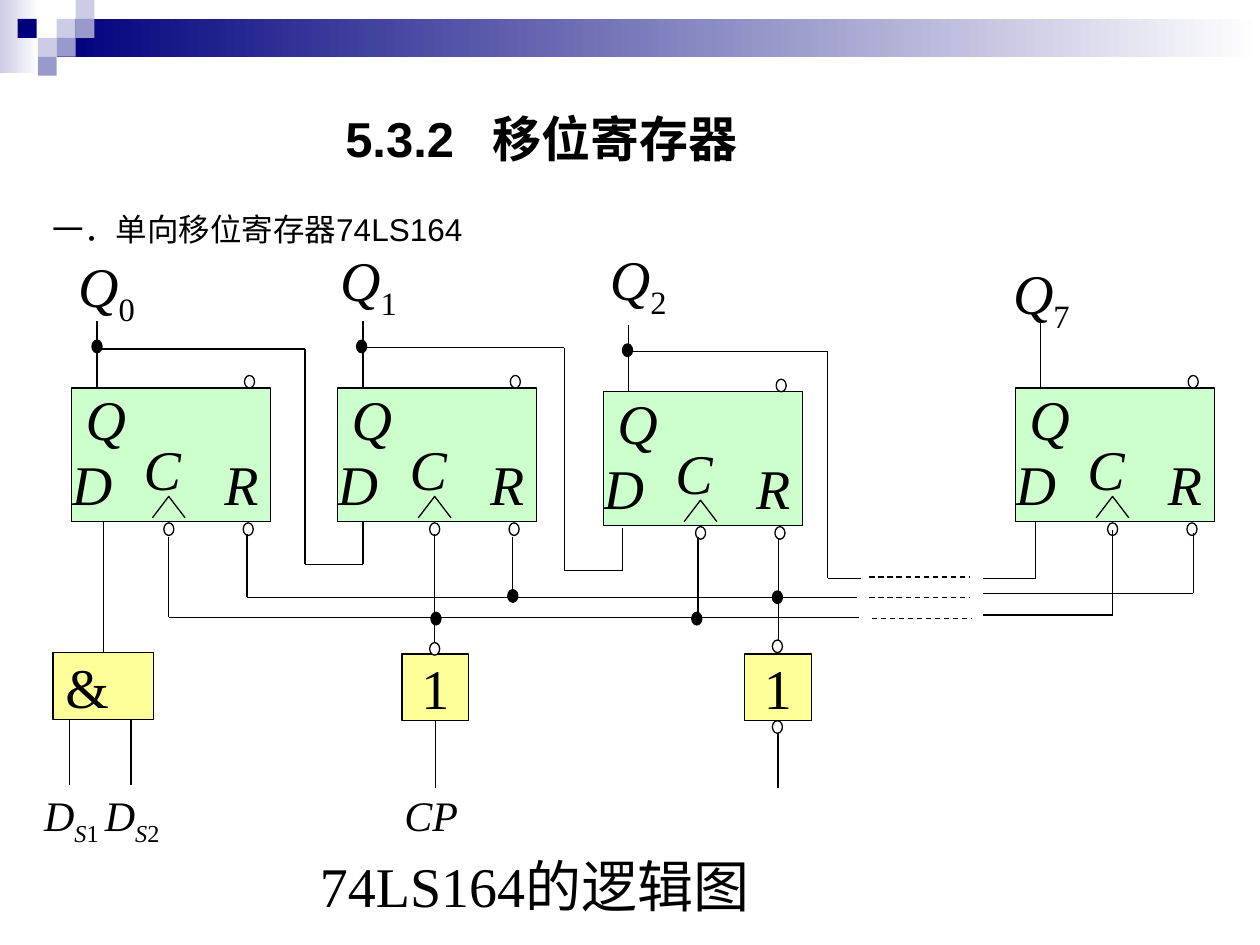
import dataclasses
import lxml.etree
import pptx
import pptx.dml.color
import pptx.enum.dml
import pptx.enum.shapes
import pptx.enum.text
import pptx.oxml.ns
import pptx.util

SHAPE = pptx.enum.shapes.MSO_SHAPE
ALIGN = pptx.enum.text.PP_ALIGN
ANCHOR = pptx.enum.text.MSO_ANCHOR
RGB = pptx.dml.color.RGBColor.from_string
LINK = pptx.enum.shapes.MSO_CONNECTOR.STRAIGHT


@dataclasses.dataclass(frozen=True)
class Theme:
    ink: str = "000000"
    white: str = "FFFFFF"
    navy: str = "00007D"
    mid: str = "9999CC"
    pale: str = "CCCCE6"
    green: str = "CCFFCC"
    yellow: str = "FFFF99"
    sans: str = "Arial"
    serif: str = "Times New Roman"
    head: int = 28
    sub: int = 18
    big: int = 32
    small: int = 24
    stroke: float = 0.75


def cm(units):
    """Turn grid units of 2.54 cm into a length."""
    return pptx.util.Cm(units * 2.54)


def tab(par, stop):
    props = par._p.get_or_add_pPr()
    tabs = lxml.etree.SubElement(props, pptx.oxml.ns.qn("a:tabLst"))
    lxml.etree.SubElement(tabs, pptx.oxml.ns.qn("a:tab"), pos=str(cm(stop)), algn="l")


class Board:
    """Holds the theme and the slide being drawn."""

    def __init__(self, slide, theme):
        self.slide, self.theme = slide, theme
        self.shapes = slide.shapes

    def label(self, frame, runs, form, pad=(0, 0, 0, 0), align=ALIGN.LEFT,
              anchor=ANCHOR.TOP, wrap=True, stop=None):
        """Fill a frame with (text, changes) runs; the change "low" makes a subscript."""
        sides = ("margin_left", "margin_top", "margin_right", "margin_bottom")
        looks = {"word_wrap": wrap, "vertical_anchor": anchor,
                 "auto_size": pptx.enum.text.MSO_AUTO_SIZE.NONE}
        looks.update(zip(sides, map(cm, pad)))
        for key, value in looks.items():
            setattr(frame, key, value)
        par = frame.paragraphs[0]
        par.alignment = align
        if stop:
            tab(par, stop)
        for word, change in runs:
            run = par.add_run()
            run.text = word
            look = {**form, **change}
            if look.pop("low", False):
                run._r.get_or_add_rPr().set("baseline", "-25000")
            for key, value in look.items():
                setattr(run.font, key, value)
            run.font.color.rgb = RGB(self.theme.ink)

    def form(self, size, face=None, **more):
        return {"size": pptx.util.Pt(size), "name": face or self.theme.serif, **more}

    def title(self, box, runs, form, **more):
        shape = self.shapes.title
        for key, value in zip(("left", "top", "width", "height"), box):
            setattr(shape, key, cm(value))
        self.label(shape.text_frame, runs, form, **more)

    def text(self, box, runs, form, **more):
        shape = self.shapes.add_textbox(*map(cm, box))
        self.label(shape.text_frame, runs, form, **more)

    def edge(self, line):
        line.color.rgb = RGB(self.theme.ink)
        line.width = pptx.util.Pt(self.theme.stroke)

    def shape(self, box, fill, kind=SHAPE.RECTANGLE, edge=True):
        shape = self.shapes.add_shape(kind, *map(cm, box))
        shape.shadow.inherit = False
        shape.fill.solid()
        shape.fill.fore_color.rgb = RGB(fill)
        if edge:
            self.edge(shape.line)
        else:
            shape.line.fill.background()
        return shape

    def fade(self, box, start):
        shape = self.shape(box, start, edge=False)
        shape.fill.gradient()
        shape.fill.gradient_angle = 0
        for stop, color, place in zip(shape.fill.gradient_stops, (start, self.theme.white), (0, 1)):
            stop.color.rgb = RGB(color)
            stop.position = place

    def node(self, left, top, fill=None):
        self.shape((left, top, 0.08, 0.1), fill or self.theme.white, SHAPE.OVAL)

    def wire(self, *points, dash=False):
        """Draw a chain of straight connectors and return the last one."""
        for start, end in zip(points, points[1:]):
            line = self.shapes.add_connector(LINK, *map(cm, start + end))
            self.edge(line.line)
            if dash:
                line.line.dash_style = pptx.enum.dml.MSO_LINE.DASH
            lxml.etree.SubElement(line._element.spPr, pptx.oxml.ns.qn("a:effectLst"))
        return line

    def wedge(self, left, top):
        pen = self.shapes.build_freeform(cm(left), cm(top + 0.17))
        pen.add_line_segments([(cm(left + 0.13), cm(top)), (cm(left + 0.26), cm(top + 0.17))], close=False)
        shape = pen.convert_to_shape()
        shape.shadow.inherit = False
        shape.fill.background()
        self.edge(shape.line)

    def flop(self, left, top):
        form = self.form(self.theme.big, italic=True)
        body = self.shape((left, top, 1.58, 1.06), self.theme.green)
        self.label(body.text_frame, [("D\tR", {})], form, pad=(0, 0, 0, 0.04), anchor=ANCHOR.BOTTOM, stop=1.21)
        self.wedge(left + 0.64, top + 0.86)
        self.text((left + 0.57, top + 0.37, 0.45, 0.43), [("C", {})], form)
        self.text((left + 0.11, top - 0.03, 0.28, 0.55), [("Q", {})], form)
        self.wire((left + 0.2, top - 0.53), (left + 0.2, top))
        for across, down in ((1.37, -0.1), (0.73, 1.07), (1.36, 1.07)):
            self.node(left + across, top + down)

    def gate(self, box, sign, **more):
        body = self.shape(box, self.theme.yellow)
        self.label(body.text_frame, [(sign, {})], self.form(self.theme.big), **more)
        return body


def frame(board):
    theme = board.theme
    board.fade((0, 0, 0.31, 0.58), theme.pale)
    board.fade((0.45, 0.15, 9.55, 0.3), theme.navy)
    tiles = {theme.pale: [(0.45, 0.15), (0.6, 0), (0.3, 0.3)],
             theme.mid: [(0.6, 0.15), (0.45, 0.3), (0.3, 0.45)],
             theme.navy: [(0.14, 0.15)]}
    for color, spots in tiles.items():
        for spot in spots:
            board.shape(spot + (0.15, 0.15), color, edge=False)


def labels(board):
    theme = board.theme
    board.title((2.64, 0.68, 3.94, 0.83), [("5.3.2\t移位寄存器", {})],
                board.form(theme.head, theme.sans, bold=True),
                pad=(0.1, 0.18, 0.1, 0.18), anchor=ANCHOR.MIDDLE, stop=1.17)
    board.text((0.32, 1.62, 3.51, 0.4), [("一．单向移位寄存器74LS164", {})],
               board.form(theme.sub, theme.sans), pad=(0.1, 0.05, 0.1, 0.05), anchor=ANCHOR.MIDDLE)
    large = board.form(theme.big, italic=True)
    small = board.form(theme.small, italic=True)
    low, plain = {"low": True}, {"low": True, "italic": False}
    for digit, left, top in (("0", 0.62, 2), ("1", 2.7, 1.95), ("2", 4.84, 1.94), ("7", 8.04, 2.05)):
        board.text((left, top, 0.53, 0.53), [("Q", {}), (digit, plain)], large)
    board.text((0.35, 6.27, 1.32, 0.53), [("D", {}), ("S", low), ("1 ", plain),
                                          ("D", {}), ("S", low), ("2", plain)], small)
    board.text((3.21, 6.27, 0.53, 0.53), [("CP", {})], small)
    board.text((2.45, 6.71, 3.59, 0.79), [("74LS164的逻辑图", {})], board.form(theme.big),
               pad=(0.1, 0.05, 0.1, 0.05), align=ALIGN.CENTER, wrap=False)


def wires(board):
    chains = [
        [(0.8, 2.77), (2.42, 2.77), (2.42, 4.48), (2.88, 4.48), (2.88, 4.14)],
        [(2.86, 2.76), (4.48, 2.76), (4.48, 4.53), (4.94, 4.53), (4.94, 4.19)],
        [(4.99, 2.79), (6.57, 2.79), (6.57, 4.59), (6.83, 4.59)],
        [(7.8, 4.59), (8.22, 4.59), (8.22, 4.14)],
        [(1.96, 4.24), (1.96, 4.74), (6.8, 4.74)],
        [(1.34, 4.26), (1.34, 4.9), (6.82, 4.9)],
        [(7.8, 4.71), (9.47, 4.71), (9.47, 4.23)],
        [(7.8, 4.88), (8.83, 4.88), (8.83, 4.21)],
        [(4.07, 4.26), (4.07, 4.69)],
        [(5.54, 4.26), (5.54, 4.93)],
        [(3.45, 4.24), (3.45, 5.13)],
        [(6.18, 4.27), (6.18, 5.16)],
        [(0.55, 5.71), (0.55, 6.23)],
        [(1.04, 5.71), (1.04, 6.23)],
    ]
    for chain in chains:
        board.wire(*chain)
    for left, top in ((6.9, 4.58), (6.9, 4.74), (6.92, 4.91)):
        board.wire((left, top), (left + 0.79, top), dash=True)


def gates(board):
    both = board.gate((0.42, 5.18, 0.8, 0.53), "&", pad=(0.1, 0, 0.1, 0))
    board.wire((0.82, 4.14), (0.82, 5.18)).end_connect(both, 0)
    for left in (3.19, 5.91):
        flip = board.gate((left, 5.19, 0.53, 0.53), "1", align=ALIGN.CENTER)
        mid = left + 0.53 / 2
        board.wire((mid, 5.72), (mid, 6.25)).begin_connect(flip, 2)


def nodes(board):
    dots = [(0.73, 2.7), (2.83, 2.7), (4.94, 2.73), (6.13, 4.69), (4.03, 4.68), (5.49, 4.86), (3.42, 4.86)]
    for dot in dots:
        board.node(*dot, board.theme.ink)
    for ring in ((3.41, 5.1), (6.13, 5.08), (6.13, 5.72)):
        board.node(*ring)


def main():
    deck = pptx.Presentation()
    deck.slide_width, deck.slide_height = cm(10), cm(7.5)
    board = Board(deck.slides.add_slide(deck.slide_layouts[5]), Theme())
    frame(board)
    for left, top in ((0.57, 3.08), (2.68, 3.08), (4.79, 3.11), (8.06, 3.08)):
        board.flop(left, top)
    for draw in (wires, gates, nodes, labels):
        draw(board)
    deck.save("out.pptx")


if __name__ == "__main__":
    main()
